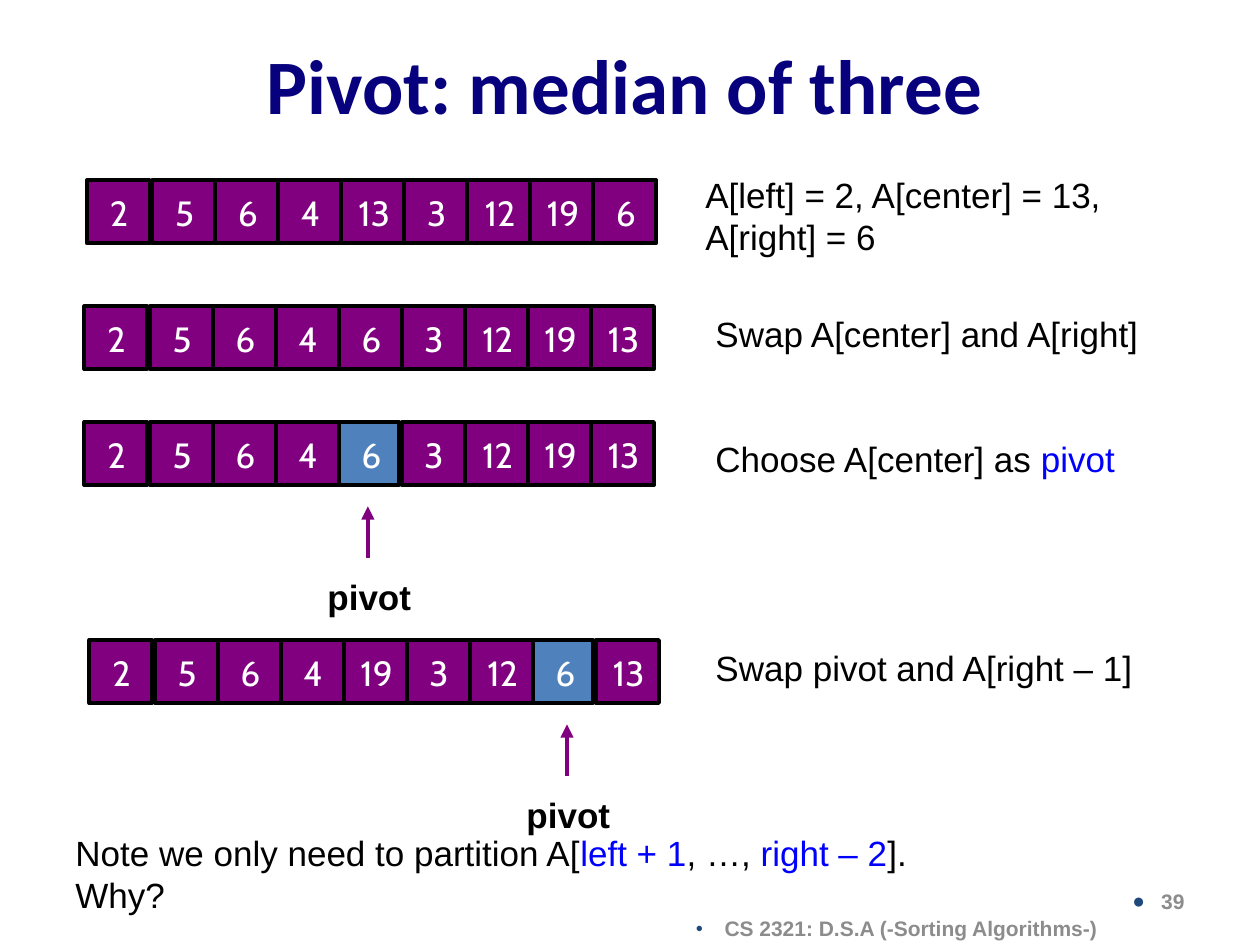
from dataclasses import dataclass

from lxml import etree
from pptx import Presentation
from pptx import util as u
from pptx.dml.color import RGBColor as Rgb
from pptx.enum import shapes, text
from pptx.oxml.ns import qn


@dataclass(frozen=True)
class Theme:
    navy: str = "07017D"
    purple: str = "800080"
    blue: str = "4F81BD"
    link: str = "0000FF"
    black: str = "000000"
    white: str = "FFFFFF"
    gray: str = "8C8C8C"
    dot: str = "1F497D"
    head: int = 44
    body: int = 20
    small: int = 12
    sans: str = "Arial"
    digit: str = "Cabin"
    title: str = "Calibri"


class Deck:
    """Draw styled elements on the current slide, with 100 px to the inch."""

    scale = 9144
    side = 50

    def __init__(self, theme, wide, high):
        self.theme = theme
        self.file = Presentation()
        self.file.slide_width, self.file.slide_height = self.emu(wide, high)
        self.slide = self.file.slides.add_slide(self.file.slide_layouts[5])

    def emu(self, *px):
        return [u.Emu(n * self.scale) for n in px]

    def style(self, para, size, face, color, bold=False):
        font = para.font
        font.size, font.name, font.bold = u.Pt(size), face, bold
        font.color.rgb = Rgb.from_string(color)

    def title(self, words, *box):
        shape = self.slide.shapes.title
        shape.left, shape.top, shape.width, shape.height = self.emu(*box)
        frame = shape.text_frame
        frame.text = words
        frame.vertical_anchor = text.MSO_ANCHOR.MIDDLE
        para = frame.paragraphs[0]
        para.alignment = text.PP_ALIGN.CENTER
        self.style(para, self.theme.head, self.theme.title, self.theme.navy, True)

    def label(self, words, *box, size=None, face=None, color=None, bold=False,
              align=None, wrap=True, bullet=None):
        look = self.theme
        frame = self.slide.shapes.add_textbox(*self.emu(*box)).text_frame
        frame.word_wrap = wrap
        para = frame.paragraphs[0]
        para.alignment = align
        if bullet:
            frame.vertical_anchor = text.MSO_ANCHOR.MIDDLE
            self.bullet(para, bullet)
        self.style(para, size or look.body, face or look.sans,
                   color or look.black, bold)
        for turn, part in enumerate(words.split("|")):
            run = para.add_run()
            run.text = part
            if turn % 2:
                run.font.color.rgb = Rgb.from_string(look.link)

    def bullet(self, para, percent):
        props = para._p.get_or_add_pPr()
        props.set("marL", str(5 * self.scale))
        props.set("indent", str(-23 * self.scale))
        tint = etree.SubElement(props, qn("a:buClr"))
        etree.SubElement(tint, qn("a:srgbClr"), val=self.theme.dot)
        etree.SubElement(props, qn("a:buSzPct"), val=str(percent * 1000))
        etree.SubElement(props, qn("a:buFont"), typeface=self.theme.sans)
        etree.SubElement(props, qn("a:buChar"), char="●")

    def square(self, left, top, fill):
        box = self.emu(left, top, self.side, self.side)
        shape = self.slide.shapes.add_shape(shapes.MSO_SHAPE.RECTANGLE, *box)
        shape.shadow.inherit = False
        shape.fill.solid()
        shape.fill.fore_color.rgb = Rgb.from_string(fill)
        shape.line.color.rgb = Rgb.from_string(self.theme.black)
        shape.line.width = u.Pt(2.25)

    def row(self, left, top, values, pivot=None):
        look = self.theme
        order = sorted(range(len(values)), key=lambda spot: spot != pivot)
        for spot in order:
            x = left + self.side * spot + (2 if spot else 0)
            if spot == pivot:
                self.square(x - 2, top, look.blue)
            else:
                self.square(x, top, look.purple)
            digits = str(values[spot])
            wide = 35 if len(digits) == 1 else 50
            self.label(digits, x + (52 - wide) // 2, top + 4, wide, 43,
                       face=look.digit, color=look.white,
                       align=text.PP_ALIGN.CENTER, wrap=False)

    def arrow(self, x, tip):
        ends = self.emu(x, tip + 41, x, tip)
        line = self.slide.shapes.add_connector(shapes.MSO_CONNECTOR.STRAIGHT, *ends)
        line.line.color.rgb = Rgb.from_string(self.theme.purple)
        line.line.width = u.Pt(2.5)
        etree.SubElement(line.line._get_or_add_ln(), qn("a:tailEnd"), type="triangle")
        etree.SubElement(line._element.spPr, qn("a:effectLst"))
        self.label("pivot", x - 42, tip + 50, 92, 43, bold=True)

    def save(self):
        self.file.save("out.pptx")


def main():
    look = Theme()
    deck = Deck(look, 1000, 750)
    deck.title("Pivot: median of three", 67, 25, 858, 83)

    deck.row(69, 143, [2, 5, 6, 4, 13, 3, 12, 19, 6])
    deck.row(67, 243, [2, 5, 6, 4, 6, 3, 12, 19, 13])
    deck.row(67, 335, [2, 5, 6, 4, 6, 3, 12, 19, 13], pivot=4)
    deck.row(71, 508, [2, 5, 6, 4, 19, 3, 12, 6, 13], pivot=7)
    deck.arrow(292, 402)
    deck.arrow(450, 575)

    deck.label("A[left] = 2, A[center] = 13, A[right] = 6", 550, 133, 417, 77)
    deck.label("Swap A[center] and A[right]", 558, 243, 417, 43)
    deck.label("Choose A[center] as |pivot", 558, 342, 417, 43)
    deck.label("Swap pivot and A[right – 1]", 558, 508, 367, 43)
    deck.label("Note we only need to partition A[|left + 1|, …, |right – 2|]. Why?",
               50, 655, 758, 77)

    deck.label("CS 2321: D.S.A (-Sorting Algorithms-)", 524, 715, 392, 43,
               size=look.small, color=look.gray, bold=True,
               align=text.PP_ALIGN.CENTER, bullet=60)
    deck.label("39", 717, 695, 233, 40, size=look.small, color=look.gray,
               bold=True, align=text.PP_ALIGN.RIGHT, bullet=100)
    deck.save()


if __name__ == "__main__":
    main()
